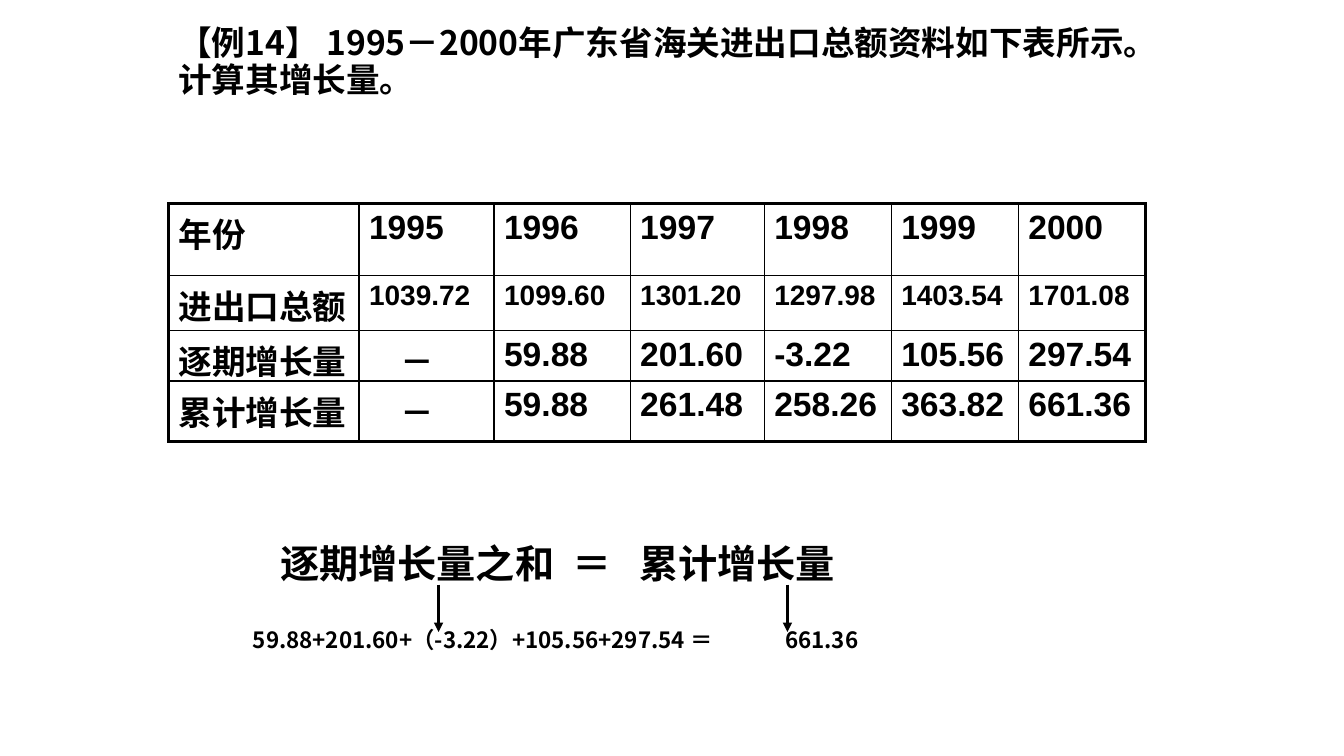
from pptx import Presentation
from pptx.dml.color import RGBColor
from pptx.enum.shapes import MSO_CONNECTOR
from pptx.enum.text import MSO_ANCHOR
from pptx.oxml.ns import qn
from pptx.util import Inches, Pt
from lxml import etree

STRAIGHT = MSO_CONNECTOR.STRAIGHT
MIDDLE = MSO_ANCHOR.MIDDLE
COLORS = {"ink": "000000"}
CJK_FONT = "Noto Sans CJK SC"
TABLE_FONT = "Arial"
DASH = "－"

COLUMN_WIDTHS = [1.89, 1.34, 1.35, 1.33, 1.26, 1.26, 1.26]
ROW_HEIGHTS = [0.71, 0.55, 0.46, 0.6]
TRADE_ROWS = [
    ["年份", "1995", "1996", "1997", "1998", "1999", "2000"],
    ["进出口总额", "1039.72", "1099.60", "1301.20", "1297.98", "1403.54", "1701.08"],
    ["逐期增长量", DASH, "59.88", "201.60", "-3.22", "105.56", "297.54"],
    ["累计增长量", DASH, "59.88", "261.48", "258.26", "363.82", "661.36"],
]


def write(paragraph, text, size, font=CJK_FONT, line_spacing=None,
          before=0, indent=0, tabs=()):
    """Put bold text in a paragraph; tabs and indent are in inches."""
    run = paragraph.add_run()
    run.text = text
    run.font.size = Pt(size)
    run.font.bold = True
    run.font.name = font
    run.font.color.rgb = RGBColor.from_string(COLORS["ink"])
    east_asian = etree.SubElement(run.font._element, qn("a:ea"))
    east_asian.set("typeface", CJK_FONT)
    if line_spacing:
        paragraph.line_spacing = line_spacing
    paragraph.space_before = Pt(before)
    properties = paragraph._p.get_or_add_pPr()
    if indent:
        properties.set("marL", str(Inches(indent)))
        properties.set("indent", "0")
    if tabs:
        tab_list = etree.SubElement(properties, qn("a:tabLst"))
        for position in tabs:
            etree.SubElement(tab_list, qn("a:tab"),
                             pos=str(Inches(position)), algn="l")


class SlideBuilder:
    def __init__(self, slide, thin=1, thick=2.25):
        self.slide = slide
        self.thin = thin
        self.thick = thick

    def text(self, left, top, width, height, lines):
        """Add a text box; each line is a (text, format) pair."""
        box = self.slide.shapes.add_textbox(
            Inches(left), Inches(top), Inches(width), Inches(height))
        frame = box.text_frame
        frame.word_wrap = True
        frame.vertical_anchor = MIDDLE
        for index, (text, style) in enumerate(lines):
            paragraph = frame.add_paragraph() if index else frame.paragraphs[0]
            write(paragraph, text, **style)

    def border(self, cell, side, width):
        line = etree.SubElement(cell._tc.get_or_add_tcPr(), qn(f"a:ln{side}"),
                                w=str(Pt(width)))
        fill = etree.SubElement(line, qn("a:solidFill"))
        etree.SubElement(fill, qn("a:srgbClr"), val=COLORS["ink"])

    def table(self, left, top, rows, widths, heights):
        table = self.slide.shapes.add_table(
            len(rows), len(widths), Inches(left), Inches(top),
            Inches(sum(widths)), Inches(sum(heights))).table
        table.first_row = table.horz_banding = False
        for column, width in zip(table.columns, widths):
            column.width = Inches(width)
        for row, height in zip(table.rows, heights):
            row.height = Inches(height)
        last_row, last_column = len(rows) - 1, len(widths) - 1
        for r, values in enumerate(rows):
            for c, value in enumerate(values):
                cell = table.cell(r, c)
                outer_sides = {"L": c == 0, "R": c == last_column,
                               "T": r == 0, "B": r == last_row}
                for side, is_outer in outer_sides.items():
                    self.border(cell, side, self.thick if is_outer else self.thin)
                cell.fill.background()
                write(cell.text_frame.paragraphs[0], value,
                      size=20 if r == 1 and c > 0 else 24, font=TABLE_FONT,
                      indent=0.31 if value == DASH else 0)

    def arrow(self, x, top, bottom):
        connector = self.slide.shapes.add_connector(
            STRAIGHT, Inches(x), Inches(top), Inches(x), Inches(bottom))
        connector.line.color.rgb = RGBColor.from_string(COLORS["ink"])
        connector.line.width = Pt(self.thick)
        etree.SubElement(connector.line._get_or_add_ln(), qn("a:tailEnd"),
                         type="triangle")
        etree.SubElement(connector._element.spPr, qn("a:effectLst"))


def main():
    presentation = Presentation()
    presentation.slide_width = Inches(13.33)
    presentation.slide_height = Inches(7.5)
    blank_layout = presentation.slide_layouts[6]
    builder = SlideBuilder(presentation.slides.add_slide(blank_layout))

    builder.text(1.67, 0, 9.79, 1.25, [
        ("【例14】 1995－2000年广东省海关进出口总额资料如下表所示。计算其增长量。",
         {"size": 24, "line_spacing": 0.9}),
    ])
    builder.table(1.67, 2.02, TRADE_ROWS, COLUMN_WIDTHS, ROW_HEIGHTS)
    builder.text(2.41, 5.09, 9.49, 1.65, [
        ("\t逐期增长量之和\t＝\t累计增长量",
         {"size": 28, "tabs": (0.27, 3.17, 3.83)}),
        ("59.88+201.60+（-3.22）+105.56+297.54 ＝\t661.36",
         {"size": 16, "before": 28.6, "tabs": (5.28,)}),
    ])
    for arrow_x in (4.35, 7.81):
        builder.arrow(arrow_x, 5.8, 6.27)

    presentation.save("out.pptx")


if __name__ == "__main__":
    main()
